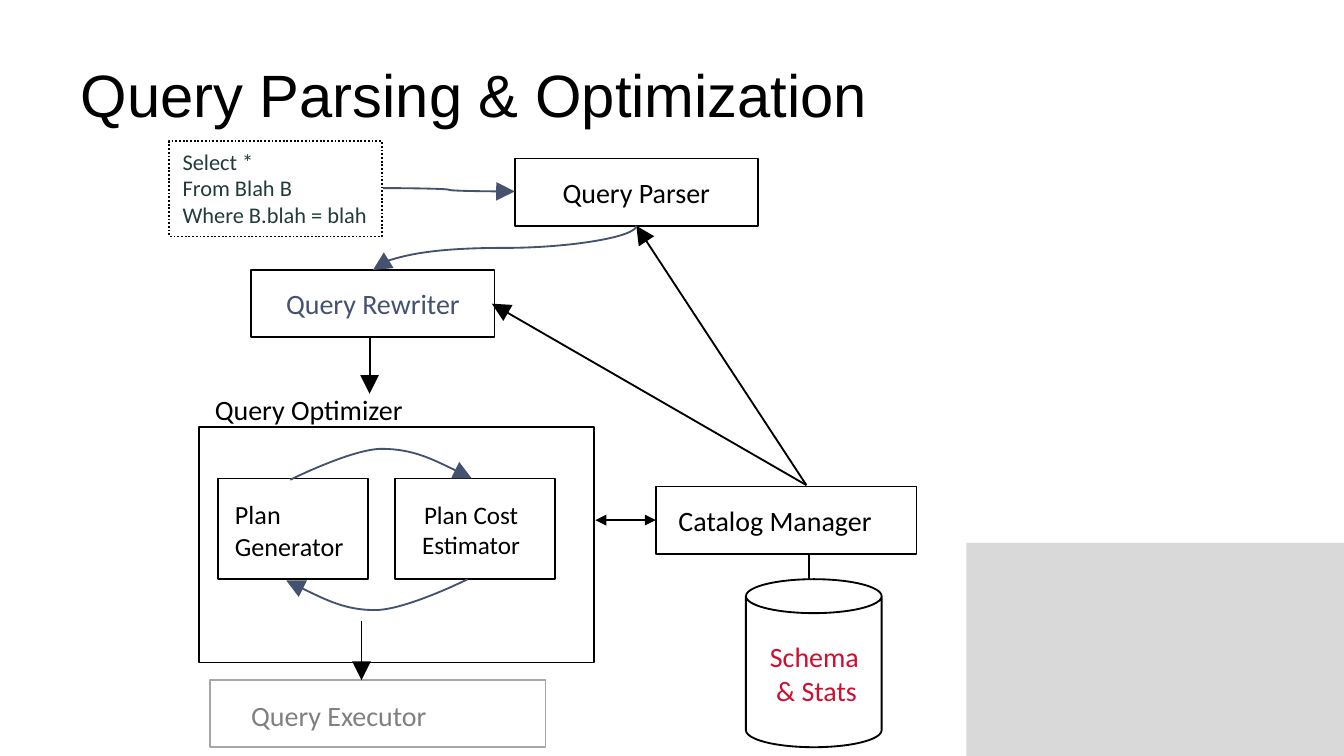
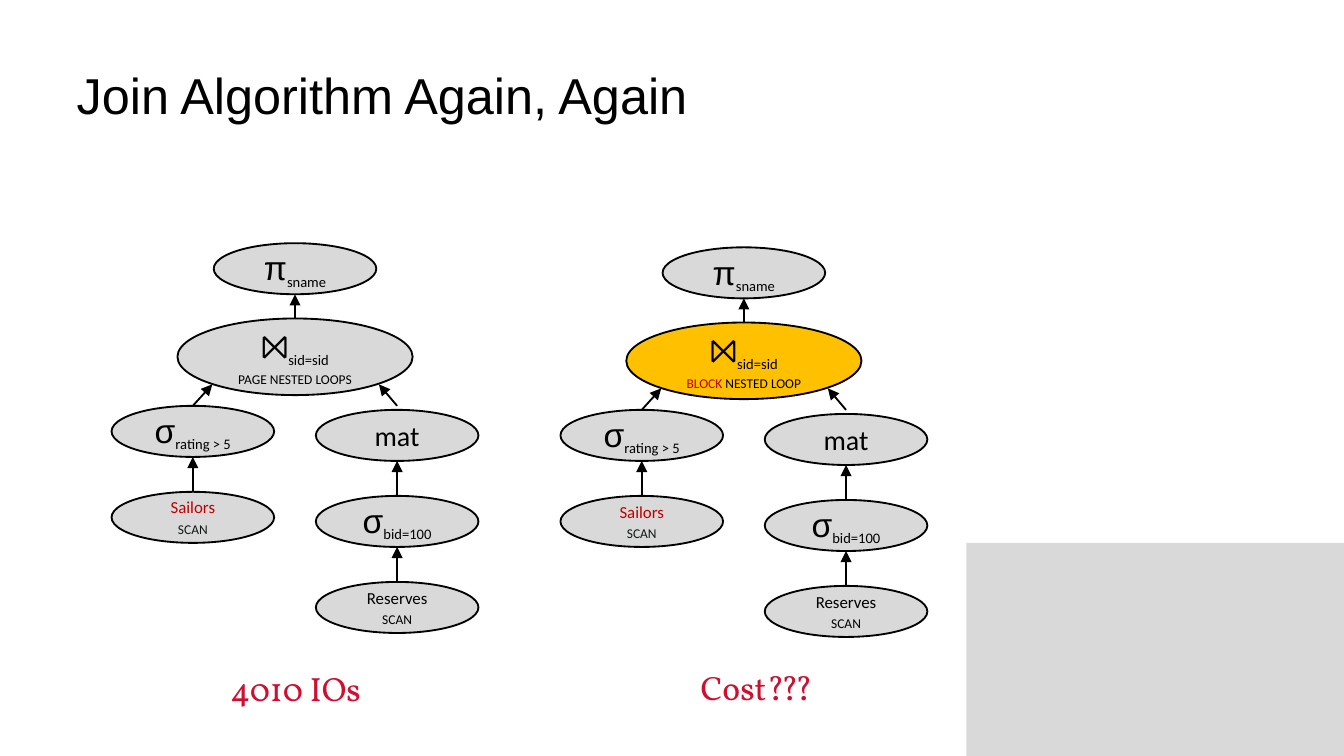
from dataclasses import dataclass
from typing import Optional

from lxml.etree import SubElement
from pptx import Presentation
from pptx.dml.color import RGBColor
from pptx.enum.dml import MSO_LINE
from pptx.enum.shapes import MSO_CONNECTOR as CONN, MSO_SHAPE as SHAPE
from pptx.enum.text import MSO_ANCHOR as ANCHOR, PP_ALIGN as ALIGN
from pptx.oxml.ns import qn
from pptx.util import Emu, Inches, Pt

# Grid: 100 columns by 56.25 rows of square cells
COLS, ROWS = 100, 56.25
CELL = Inches(0.1)

COLORS = {
    "black": "000000", "white": "FFFFFF", "gray": "D9D9D9",
    "faded": "808080", "faded_line": "A6A6A6", "slate": "44516F",
    "sql": "233B39", "scan": "0E1817", "red": "CF0E30",
    "dark_red": "C00000", "amber": "FFC000",
}
BODY, HEADING, COST = "Calibri", "Arial", "Vollkorn"
WIDE_INSET, TIGHT_INSET = (1, 0.5), (0.7, 0.4)


@dataclass(frozen=True)
class Run:
    text: str
    size: float = 15
    color: str = "black"
    font: str = BODY
    base: int = 0
    small_caps: bool = False


@dataclass(frozen=True)
class Box:
    """Place on the grid: column, row, columns wide, rows high."""
    col: float
    row: float
    cols: float
    rows: float

    def emu(self) -> tuple:
        return tuple(grid(v) for v in (self.col, self.row, self.cols, self.rows))

    @property
    def top(self) -> tuple:
        return self.col + self.cols / 2, self.row

    @property
    def bottom(self) -> tuple:
        return self.col + self.cols / 2, self.row + self.rows


@dataclass(frozen=True)
class Block:
    """Outlined shape or, with line None, a plain text box."""
    box: Box
    lines: tuple = ()
    line: Optional[str] = "black"
    fill: Optional[str] = None
    shape: SHAPE = SHAPE.RECTANGLE
    align: ALIGN = ALIGN.LEFT
    anchor: ANCHOR = ANCHOR.TOP
    wrap: bool = True
    dotted: bool = False
    inset: tuple = WIDE_INSET


@dataclass(frozen=True)
class Arrow:
    start: tuple
    end: tuple
    color: str = "black"
    size: str = "lg"
    ends: tuple = ("tailEnd",)
    kind: CONN = CONN.STRAIGHT


def grid(value: float) -> Emu:
    return Emu(round(value * CELL))


def rgb(name: str) -> RGBColor:
    return RGBColor.from_string(COLORS[name])


def write(tf, lines, *, align=ALIGN.LEFT, anchor=ANCHOR.TOP, wrap=True,
          inset=WIDE_INSET) -> None:
    """Fill a text frame; each line is a tuple of runs, "\\n" is a line break."""
    tf.word_wrap, tf.vertical_anchor = wrap, anchor
    tf.margin_left = tf.margin_right = grid(inset[0])
    tf.margin_top = tf.margin_bottom = grid(inset[1])
    for i, runs in enumerate(lines):
        p = tf.add_paragraph() if i else tf.paragraphs[0]
        p.alignment = align
        for run in runs:
            if run.text == "\n":
                p.add_line_break()
                continue
            r = p.add_run()
            r.text = run.text
            r.font.size, r.font.name = Pt(run.size), run.font
            r.font.color.rgb = rgb(run.color)
            props = r.font._element
            if run.base:
                props.set("baseline", str(run.base * 1000))
            if run.small_caps:
                props.set("cap", "small")


def draw_block(slide, block: Block):
    if block.line is None and block.fill is None:
        sp = slide.shapes.add_textbox(*block.box.emu())
    else:
        sp = slide.shapes.add_shape(block.shape, *block.box.emu())
        sp.shadow.inherit = False
        if block.fill:
            sp.fill.solid()
            sp.fill.fore_color.rgb = rgb(block.fill)
        else:
            sp.fill.background()
        if block.line:
            set_line(sp.line, block.line)
        else:
            sp.line.fill.background()
        if block.dotted:
            sp.line.dash_style = MSO_LINE.ROUND_DOT
    if block.lines:
        write(sp.text_frame, block.lines, align=block.align,
              anchor=block.anchor, wrap=block.wrap, inset=block.inset)
    return sp


def set_line(line, color: str) -> None:
    line.color.rgb = rgb(color)
    line.width = Pt(1)


def add_heads(sp, ends: tuple, size: str) -> None:
    ln = sp.line._get_or_add_ln()
    for end in ends:
        SubElement(ln, qn(f"a:{end}"), type="triangle", w=size, len=size)


def draw_arrow(slide, arrow: Arrow):
    points = [grid(v) for v in (*arrow.start, *arrow.end)]
    sp = slide.shapes.add_connector(arrow.kind, *points)
    set_line(sp.line, arrow.color)
    add_heads(sp, arrow.ends, arrow.size)
    SubElement(sp.element.spPr, qn("a:effectLst"))
    return sp


def draw_s_bend(slide, arrow: Arrow) -> None:
    """Curved arrow that leaves downwards: a quarter turn of a sideways one."""
    (x1, y1), (x2, y2) = arrow.start, arrow.end
    mid_x, mid_y, w, h = (x1 + x2) / 2, (y1 + y2) / 2, y2 - y1, x1 - x2
    turned = Arrow((mid_x - w / 2, mid_y - h / 2), (mid_x + w / 2, mid_y + h / 2),
                   arrow.color, kind=CONN.CURVE)
    sp = draw_arrow(slide, turned)
    sp.element.spPr.find(qn("a:xfrm")).set("rot", str(90 * 60000))


def draw_bezier(slide, points: list, color: str) -> None:
    """Open curve: a start, then three points for each cubic segment."""
    (x, y), *rest = [(grid(px), grid(py)) for px, py in points]
    builder = slide.shapes.build_freeform(x, y)
    builder.add_line_segments(rest, close=False)
    sp = builder.convert_to_shape()
    steps = list(sp.element.iter(qn("a:lnTo")))
    for i in range(0, len(steps), 3):
        curve = SubElement(steps[i].getparent(), qn("a:cubicBezTo"))
        for step in steps[i:i + 3]:
            curve.append(step[0])
            step.getparent().remove(step)
    sp.shadow.inherit = False
    sp.fill.background()
    set_line(sp.line, color)
    add_heads(sp, ("tailEnd",), "lg")


def new_slide(prs, title: str, size: float, inset: tuple = WIDE_INSET):
    """Title-only slide with the shared title style and corner panel."""
    slide = prs.slides.add_slide(prs.slide_layouts[5])
    draw_block(slide, Block(Box(71.9, 40.4, COLS - 71.9, ROWS - 40.4),
                            line=None, fill="gray"))
    sp = slide.shapes.title
    sp.left, sp.top, sp.width, sp.height = Box(5, 2.3, 90, 9.4).emu()
    write(sp.text_frame, [(Run(title, size, font=HEADING),)],
          anchor=ANCHOR.MIDDLE, inset=inset)
    return slide


def parsing_slide(prs) -> None:
    slide = new_slide(prs, "Query Parsing & Optimization", 32)
    centred = dict(align=ALIGN.CENTER, anchor=ANCHOR.MIDDLE)
    sql = ("Select *", "From Blah B", "Where B.blah = blah")
    parser, rewriter = Box(38.3, 11.8, 18.1, 5), Box(18.7, 20.1, 18.1, 5)
    catalog, stats = Box(48.8, 36.2, 19.4, 5), Box(55.5, 43.1, 10.1, 12.5)

    # Boxes and labels
    blocks = [
        Block(Box(12.6, 10.5, 15.8, 7.1), tuple((Run(t, 12, "sql"),) for t in sql),
              dotted=True, wrap=False),
        Block(parser, ((Run("Query Parser"),),), wrap=False, **centred),
        Block(rewriter, ((Run("Query Rewriter", color="slate"),),),
              wrap=False, **centred),
        Block(Box(15, 28.7, 50.6, 3.5), ((Run("Query Optimizer"),),), line=None),
        Block(Box(14.8, 31.8, 29.4, 17.5)),
        Block(Box(16.2, 35.6, 11.2, 7.5)),
        Block(Box(16.5, 36.6, 13.5, 5.7), ((Run("Plan Generator", 14),),),
              line=None, anchor=ANCHOR.MIDDLE),
        Block(Box(29.4, 35.6, 11.9, 7.5)),
        Block(Box(30, 36.6, 10.1, 5.6), ((Run("Plan Cost Estimator", 13.5),),),
              line=None, **centred),
        Block(catalog),
        Block(Box(49.5, 37, 20, 3.5), ((Run("Catalog Manager"),),), line=None),
        Block(stats, fill="white", shape=SHAPE.CAN),
        Block(Box(56.3, 47.1, 9.2, 6.1),
              ((Run("Schema", color="red"),), (Run(" & Stats", color="red"),)),
              line=None),
        Block(Box(15.6, 50.6, 25, 5), line="faded_line"),
        Block(Box(17.7, 51.5, 32.5, 3.5),
              ((Run("Query Executor", color="faded"),),), line=None),
    ]
    for block in blocks:
        draw_block(slide, block)

    # Flow between the stages
    hub = (60, 36.1)
    arrows = [
        Arrow((28.5, 14), (38.3, 14.25), "slate", kind=CONN.CURVE),
        Arrow((27.5, 25), (27.5, 29.3)),
        Arrow((26.9, 46.2), (26.9, 50.6)),
        Arrow(hub, parser.bottom),
        Arrow(hub, (36.6, 22.6)),
        Arrow((44.3, 38.7), (48.8, 38.7), size="med", ends=("headEnd", "tailEnd")),
        Arrow((60.2, 41.3), (60.2, 44.3 - 1.2), ends=()),
    ]
    for arrow in arrows:
        draw_arrow(slide, arrow)
    draw_s_bend(slide, Arrow(parser.bottom, rewriter.top, "slate"))

    # Loop between generator and estimator
    draw_bezier(slide, [(21.6, 35.7), (21.6, 35.7), (26.2, 33.4), (28.4, 33.4),
                        (30.7, 33.4), (32.9, 34.5), (35.1, 35.6)], "slate")
    draw_bezier(slide, [(34.8, 43.1), (34.8, 43.1), (30.2, 45.4), (27.9, 45.4),
                        (25.7, 45.4), (23.5, 44.3), (21.3, 43.2)], "slate")


def operator(symbol: str, subscript: str) -> tuple:
    return Run(symbol, 18, font=HEADING), Run(subscript, 13.5, base=-25)


def scan(table: str, color: str, scan_color: str) -> tuple:
    return (Run(table, 9, color),), (Run("scan", 9, scan_color, small_caps=True),)


def draw_plan(slide, col: float, row: float, method: tuple, join_fill: str) -> None:
    """Query plan tree with its top left corner at the given cell."""
    left, right, step = col, col + 15.2, 6.4

    def node(c: float, r: float) -> Box:
        return Box(c, r, 12.1, 3.8)

    project, join = node(col + 7.6, row), Box(col + 4.9, row + 5.6, 17.5, 5.7)
    rating, sailors = (node(left, row + 12.1 + i * step) for i in range(2))
    mat, bid, reserves = (node(right, row + 12.4 + i * step) for i in range(3))
    join_line = (*operator("⨝", "sid=sid"), Run("\n"), *method)

    nodes = [
        (project, (operator("π", "sname"),), "gray"),
        (join, (join_line,), join_fill),
        (rating, (operator("σ", "rating > 5"),), "gray"),
        (sailors, scan("Sailors", "dark_red", "scan"), "gray"),
        (mat, ((Run("mat"),),), "gray"),
        (bid, (operator("σ", "bid=100"),), "gray"),
        (reserves, scan("Reserves", "black", "black"), "gray"),
    ]
    for box, lines, fill in nodes:
        draw_block(slide, Block(box, lines, fill=fill, shape=SHAPE.OVAL,
                                align=ALIGN.CENTER, anchor=ANCHOR.MIDDLE,
                                inset=TIGHT_INSET))

    # Upward edges; the two inputs meet the join on its lower flanks
    edges = [(child.top, parent.bottom) for child, parent in (
        (join, project), (sailors, rating), (bid, mat), (reserves, bid))]
    edges += [(rating.top, (col + 7.5, row + 10.5)),
              ((mat.top[0], rating.row), (col + 19.9, row + 10.5))]
    for start, end in edges:
        draw_arrow(slide, Arrow(start, end, size="med"))


def join_slide(prs) -> None:
    slide = new_slide(prs, "Join Algorithm Again, Again", 27, TIGHT_INSET)
    page = (Run("page nested loops", 9, small_caps=True),)
    block = (Run("block", 9, "dark_red", small_caps=True),
             Run(" nested loop", 9, small_caps=True))
    draw_plan(slide, 8.3, 18.1, page, "gray")
    draw_plan(slide, 41.7, 18.4, block, "amber")

    # Cost under each plan
    for text, col, row in (("4010 IOs", 14.2, 49.3), ("Cost???", 48.5, 49.2)):
        draw_block(slide, Block(Box(col, row, 15.6, 3.8),
                                ((Run(text, 18, "red", COST),),), line=None,
                                align=ALIGN.CENTER, anchor=ANCHOR.MIDDLE,
                                wrap=False))


def main() -> None:
    prs = Presentation()
    prs.slide_width, prs.slide_height = grid(COLS), grid(ROWS)
    parsing_slide(prs)
    join_slide(prs)
    prs.save("out.pptx")


if __name__ == "__main__":
    main()
